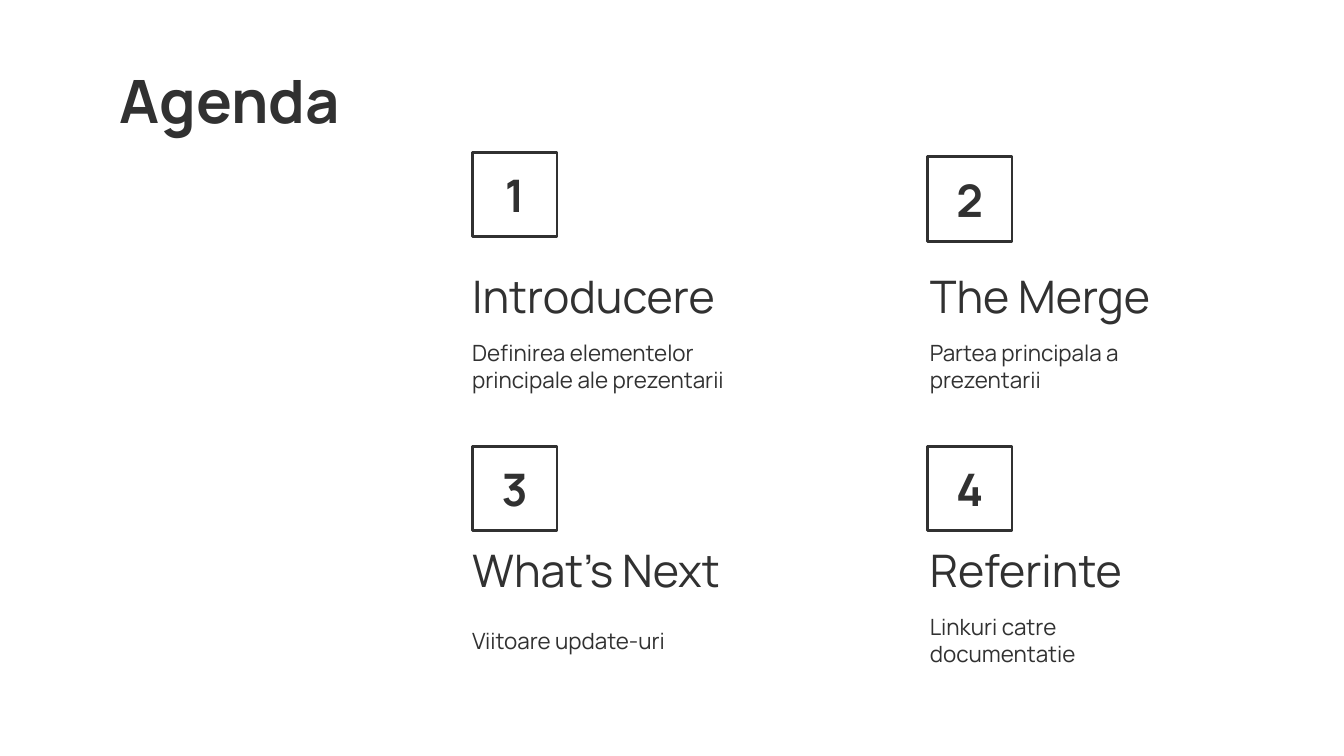
import pptx
import pptx.dml.color
import pptx.enum.shapes
import pptx.enum.text
import pptx.util

INK = "313131"
LEFT = pptx.enum.text.PP_ALIGN.LEFT
CENTER = pptx.enum.text.PP_ALIGN.CENTER

presentation = pptx.Presentation()
presentation.slide_width = pptx.util.Inches(10)
presentation.slide_height = presentation.slide_width * 9 // 16
column = presentation.slide_width / 100
row = presentation.slide_height / 56.25
slide = presentation.slides.add_slide(presentation.slide_layouts[5])


def color(hex_string):
    return pptx.dml.color.RGBColor.from_string(hex_string)


def write(shape, text, size, bold=False, alignment=LEFT):
    frame = shape.text_frame
    frame.text = text
    inset = pptx.util.Inches(0.1)
    frame_format = {
        "word_wrap": True,
        "auto_size": pptx.enum.text.MSO_AUTO_SIZE.NONE,
        "vertical_anchor": pptx.enum.text.MSO_ANCHOR.MIDDLE,
        "margin_left": inset,
        "margin_right": inset,
        "margin_top": inset,
        "margin_bottom": inset,
    }
    for name, value in frame_format.items():
        setattr(frame, name, value)
    paragraph = frame.paragraphs[0]
    paragraph.alignment = alignment
    paragraph.line_spacing = 1.0
    font_format = {"name": "Manrope", "size": pptx.util.Pt(size), "bold": bold}
    for name, value in font_format.items():
        setattr(paragraph.font, name, value)
    paragraph.font.color.rgb = color(INK)


slide.background.fill.solid()
slide.background.fill.fore_color.rgb = color("FFFFFF")

title = slide.shapes.title
title_place = {"left": 7.9 * column, "top": 4.25 * row, "width": 69.4 * column, "height": 6.3 * row}
for name, value in title_place.items():
    setattr(title, name, int(value))
write(title, "Agenda", 32, bold=True)

topics = [
    ("Introducere", "Definirea elementelor principale ale prezentarii", 11.33, 26),
    ("The Merge", "Partea principala a prezentarii", 11.67, 21),
    ("What’s Next", "Viitoare update-uri", 33.2, 23.3),
    ("Referinte", "Linkuri catre documentatie", 33.2, 21),
]
text_lefts = [34.15, 68.2]
badge_lefts = [35.15, 69]
heading_widths = [23.3, 21]
heading_tops = [19.1, 39.5]

for index, (heading, detail, badge_top, detail_width) in enumerate(topics):
    grid_row, grid_column = divmod(index, 2)
    text_left = int(text_lefts[grid_column] * column)
    heading_top = heading_tops[grid_row]

    badge = slide.shapes.add_shape(
        pptx.enum.shapes.MSO_SHAPE.RECTANGLE,
        int(badge_lefts[grid_column] * column), int(badge_top * row),
        int(6.3 * column), int(6.3 * row))
    badge.shadow.inherit = False
    badge.fill.background()
    badge.line.color.rgb = color(INK)
    badge.line.width = pptx.util.Pt(1.5)
    write(badge, str(index + 1), 24, bold=True, alignment=CENTER)

    heading_box = slide.shapes.add_textbox(
        text_left, int(heading_top * row),
        int(heading_widths[grid_column] * column), int(5.8 * row))
    write(heading_box, heading, 24)

    detail_box = slide.shapes.add_textbox(
        text_left, int((heading_top + 5.5) * row),
        int(detail_width * column), int(5.3 * row))
    write(detail_box, detail, 12)

presentation.save("out.pptx")
